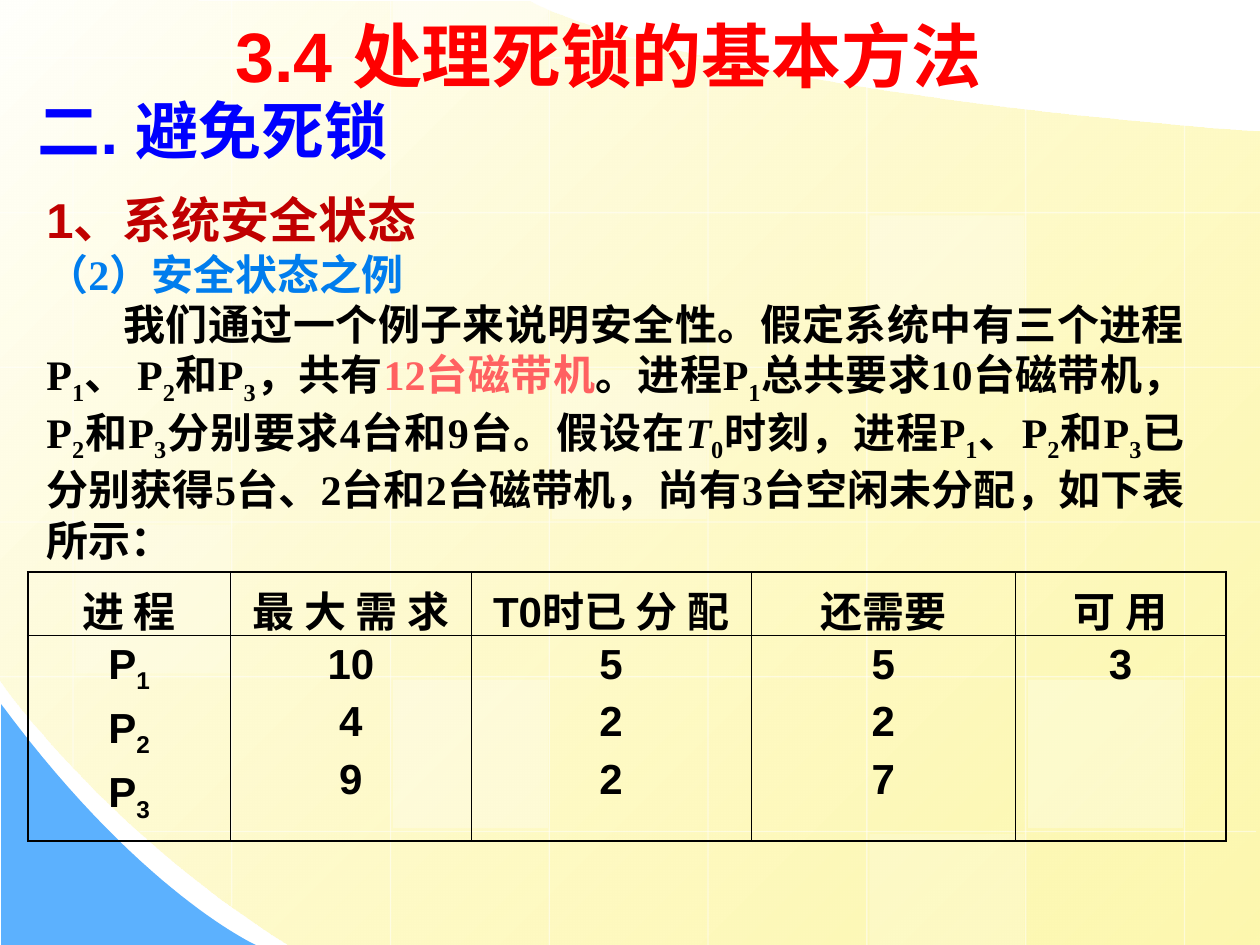
from dataclasses import dataclass

from lxml.etree import SubElement
from pptx import Presentation
from pptx.dml.color import RGBColor
from pptx.enum.shapes import MSO_CONNECTOR, MSO_SHAPE
from pptx.enum.text import MSO_ANCHOR, PP_ALIGN
from pptx.oxml import parse_xml
from pptx.oxml.ns import nsdecls, qn
from pptx.util import Inches, Pt

WIDTH, HEIGHT = Inches(10), Inches(7.5)


@dataclass(frozen=True)
class Theme:
    sans: str = "Arial"
    serif: str = "Times New Roman"
    title_size: int = 40
    section_size: int = 36
    heading_size: int = 28
    text_size: int = 24
    title: str = "FF0000"
    section: str = "0000FF"
    heading: str = "C00000"
    subheading: str = "017DED"
    highlight: str = "FF6161"
    ink: str = "000000"
    white: str = "FFFFFF"
    corner: str = "5CB1FE"
    panel_start: str = "FFFFFB"
    panel_end: str = "FDF58D"


THEME = Theme()

# Background grid, in percent of the slide's width and height
GRID_LEFT, COLUMN_STEP = 5.8, 12.6
GRID_TOP, ROW_STEP = 6.13, 16.37
COLUMN_SPANS = [(0, 81.2), (0, 95.87), (0, 100), (0, 100),
                (5.73, 100), (9.07, 100), (11.33, 100), (13.07, 100)]
ROW_SPANS = [(0, 56.8)] + [(0, 100)] * 4 + [(11.1, 99.7)]
# column, row, opacity
TILES = [(3, 2, 25), (6, 4, 30), (0, 3, 20), (5, 5, 20),
         (2, -1, 40), (2, 4, 30), (5, 1, 30)]

HEADERS = ["进 程", "最 大 需 求", "T0时已 分 配", "还需要", "可 用"]
COLUMN_WIDTHS = [16.1, 19.1, 22.2, 21, 16.7]
ROW_HEIGHTS = [6.67, 21.73]
HOLDINGS = [["10", "4", "9"], ["5", "2", "2"], ["5", "2", "7"], ["3"]]


def across(percent):
    return round(WIDTH * percent / 100)


def down(percent):
    return round(HEIGHT * percent / 100)


def box(x, y, w, h):
    return across(x), down(y), across(w), down(h)


def rgb(value):
    return RGBColor.from_string(value)


def set_opacity(shape, percent):
    """Make the last colour of the shape partly transparent."""
    colour = list(shape.element.iter(qn("a:srgbClr")))[-1]
    SubElement(colour, qn("a:alpha"), val=str(percent * 1000))


def curve(start, first, second, end, steps=30):
    """Points of a cubic Bezier curve after its start."""
    def point(t):
        weights = ((1 - t) ** 3, 3 * t * (1 - t) ** 2, 3 * t * t * (1 - t), t ** 3)
        return tuple(sum(w * p[axis] for w, p in zip(weights, (start, first, second, end)))
                     for axis in (0, 1))
    return [point(step / steps) for step in range(1, steps + 1)]


def add_outline(slide, points):
    corners = [(across(x), down(y)) for x, y in points]
    builder = slide.shapes.build_freeform(*corners[0], scale=1.0)
    builder.add_line_segments(corners[1:], close=True)
    outline = builder.convert_to_shape()
    outline.shadow.inherit = False
    outline.line.fill.background()
    return outline


def add_panel(slide):
    lower, upper = (23, 100), (42.1, 0.1)
    panel = add_outline(slide, [
        (100, 13.87), (100, 100), lower,
        *curve(lower, (8.6, 88.13), (-0.1, 71.87), (0, 71.87)),
        (-0.1, -0.1), upper,
        *curve(upper, upper, (53.7, 9.2), (100, 13.87))])
    panel.fill.gradient()
    panel.fill.gradient_angle = 315
    for stop, colour, position in zip(panel.fill.gradient_stops,
                                      (THEME.panel_start, THEME.panel_end), (0, 1)):
        stop.color.rgb = rgb(colour)
        stop.position = position
    set_opacity(panel, 70)


def add_corner(slide):
    foot = (20.3, 100)
    corner = add_outline(slide, [(0.1, 74.53), (0.1, 100), foot,
                                 *curve(foot, foot, (11.2, 94.53), (0.1, 74.53))])
    corner.fill.solid()
    corner.fill.fore_color.rgb = rgb(THEME.corner)


def add_grid_line(slide, x1, y1, x2, y2):
    grid_line = slide.shapes.add_connector(
        MSO_CONNECTOR.STRAIGHT, across(x1), down(y1), across(x2), down(y2))
    grid_line.line.width = Pt(0.75)
    grid_line.line.color.rgb = rgb(THEME.white)
    set_opacity(grid_line, 50)
    SubElement(grid_line.element.spPr, qn("a:effectLst"))


def add_tile(slide, column, row, opacity):
    """Fill one grid cell, cut off at the slide's edges."""
    left = GRID_LEFT + column * COLUMN_STEP + 0.2
    top = GRID_TOP + row * ROW_STEP + 0.3
    bottom = min(top + 15.73, 100)
    top = max(top, 0)
    tile = slide.shapes.add_shape(MSO_SHAPE.RECTANGLE, *box(left, top, 12.3, bottom - top))
    tile.shadow.inherit = False
    tile.line.fill.background()
    tile.fill.solid()
    tile.fill.fore_color.rgb = rgb(THEME.white)
    set_opacity(tile, opacity)


def add_run(paragraph, text, size=THEME.text_size, face=THEME.sans, colour=THEME.ink,
            italic=False, subscript=False):
    run = paragraph.add_run()
    run.text = text
    font = run.font
    font.size, font.name, font.bold, font.italic = Pt(size), face, True, italic
    font.color.rgb = rgb(colour)
    if subscript:
        run._r.get_or_add_rPr().set("baseline", "-25000")


def add_text_frame(slide, *place, anchor=MSO_ANCHOR.TOP):
    frame = slide.shapes.add_textbox(*box(*place)).text_frame
    frame.word_wrap = True
    frame.vertical_anchor = anchor
    return frame


def add_explanation(slide):
    frame = add_text_frame(slide, 2.7, 16.27, 92.3, 44.93)
    heading, subheading, example = (
        frame.paragraphs[0], frame.add_paragraph(), frame.add_paragraph())
    for paragraph in (heading, subheading, example):
        paragraph.alignment = PP_ALIGN.JUSTIFY
    heading.line_spacing = 1.5
    add_run(heading, "1、系统安全状态", THEME.heading_size, colour=THEME.heading)
    add_run(subheading, "（2）安全状态之例", face=THEME.serif, colour=THEME.subheading)

    example._p.get_or_add_pPr().set("indent", str(Inches(0.61)))
    plain, sub = {}, {"subscript": True}
    for text, style in [
            ("我们通过一个例子来说明安全性。假定系统中有三个进程P", plain), ("1", sub),
            ("、 P", plain), ("2", sub), ("和P", plain), ("3", sub), ("，共有", plain),
            ("12台磁带机", {"colour": THEME.highlight}), ("。进程P", plain), ("1", sub),
            ("总共要求10台磁带机，P", plain), ("2", sub), ("和P", plain), ("3", sub),
            ("分别要求4台和9台。假设在", plain), ("T", {"italic": True}), ("0", sub),
            ("时刻，进程P", plain), ("1", sub), ("、P", plain), ("2", sub),
            ("和P", plain), ("3", sub),
            ("已分别获得5台、2台和2台磁带机，尚有3台空闲未分配，如下表所示：", plain)]:
        add_run(example, text, face=THEME.serif, **style)


def set_borders(cell, outer_sides):
    """Draw hairlines, with a heavier line on the table's outer sides."""
    properties = cell._tc.get_or_add_tcPr()
    for index, side in enumerate("LRTB"):
        width = Pt(1.08 if side in outer_sides else 0.45)
        properties.insert(index, parse_xml(
            f'<a:ln{side} {nsdecls("a")} w="{width}"><a:solidFill>'
            f'<a:srgbClr val="{THEME.ink}"/></a:solidFill></a:ln{side}>'))


def fill_cell(cell, lines):
    """Write lines, each a list of (text, subscript) pairs."""
    cell.fill.background()
    frame = cell.text_frame
    for index, line in enumerate(lines):
        paragraph = frame.add_paragraph() if index else frame.paragraphs[0]
        paragraph.alignment = PP_ALIGN.CENTER
        if index:
            paragraph.space_before = Pt(6)
        for text, subscript in line:
            add_run(paragraph, text, subscript=subscript)


def add_allocation_table(slide):
    table = slide.shapes.add_table(
        2, len(HEADERS), *box(2.2, 60.53, sum(COLUMN_WIDTHS), sum(ROW_HEIGHTS))).table
    table.first_row = table.horz_banding = False
    for row, height in zip(table.rows, ROW_HEIGHTS):
        row.height = down(height)
    processes = [[("P", False), (number, True)] for number in "123"]
    amounts = [[[(value, False)] for value in values] for values in HOLDINGS]
    last = len(HEADERS) - 1
    for index, (header, lines) in enumerate(zip(HEADERS, [processes, *amounts])):
        table.columns[index].width = across(COLUMN_WIDTHS[index])
        sides = {0: "L", last: "R"}.get(index, "")
        for row, content, edge in ((0, [[(header, False)]], "T"), (1, lines, "B")):
            cell = table.cell(row, index)
            fill_cell(cell, content)
            set_borders(cell, sides + edge)


def main():
    deck = Presentation()
    deck.slide_width, deck.slide_height = WIDTH, HEIGHT
    slide = deck.slides.add_slide(deck.slide_layouts[6])

    add_panel(slide)
    add_corner(slide)
    for column, (top, bottom) in enumerate(COLUMN_SPANS):
        x = GRID_LEFT + column * COLUMN_STEP
        add_grid_line(slide, x, top, x, bottom)
    for row, (left, right) in enumerate(ROW_SPANS):
        y = GRID_TOP + row * ROW_STEP
        add_grid_line(slide, right, y, left, y)
    for tile in TILES:
        add_tile(slide, *tile)

    add_explanation(slide)
    add_allocation_table(slide)
    section = add_text_frame(slide, 2, 9.07, 60.6, 11.6)
    add_run(section.paragraphs[0], "二. 避免死锁", THEME.section_size, colour=THEME.section)
    title = add_text_frame(slide, 17.7, 0.67, 67.7, 10.13, anchor=MSO_ANCHOR.MIDDLE)
    add_run(title.paragraphs[0], "3.4 处理死锁的基本方法", THEME.title_size, colour=THEME.title)
    deck.save("out.pptx")


if __name__ == "__main__":
    main()
